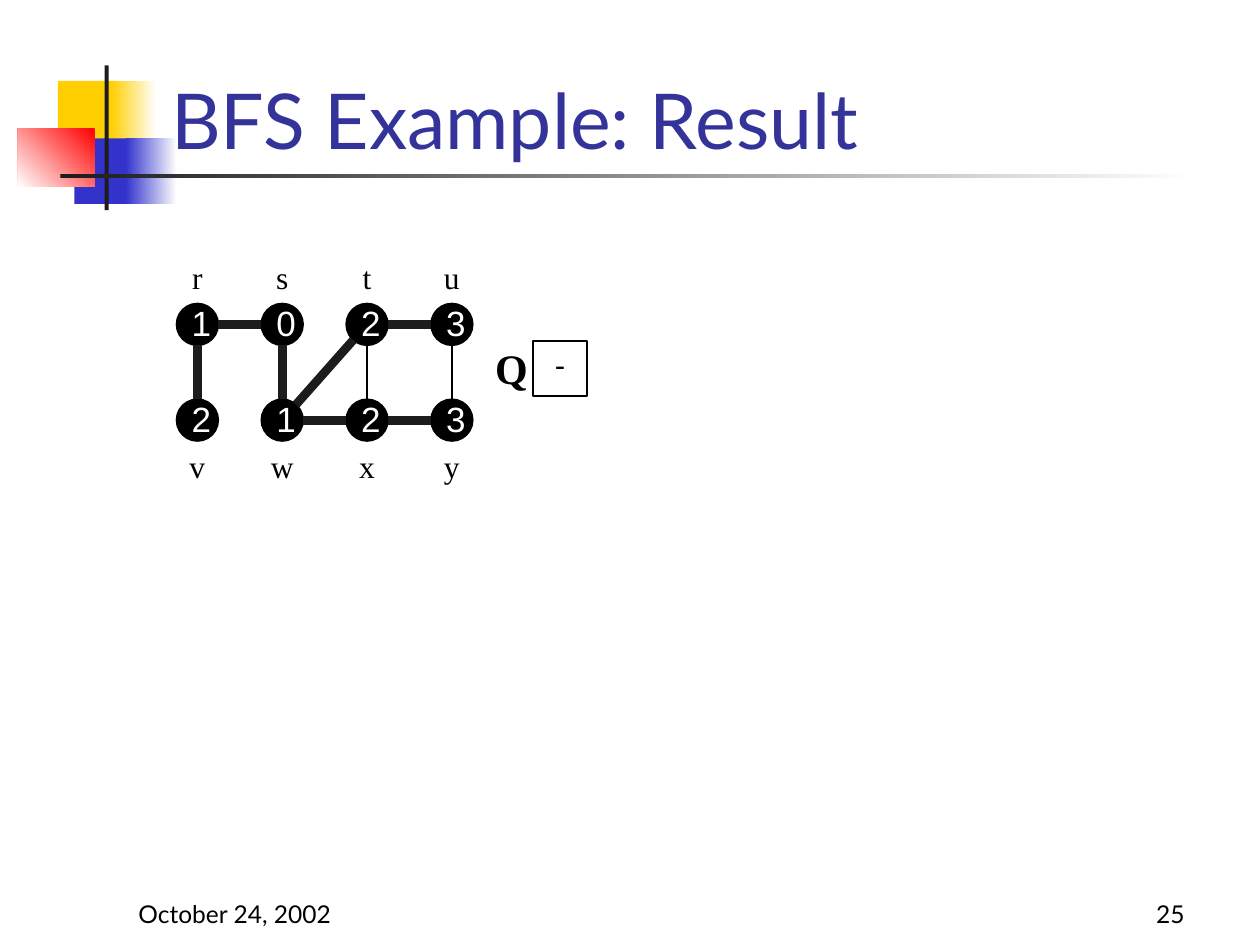
from math import hypot

from lxml.etree import SubElement
from pptx import Presentation
from pptx.dml.color import RGBColor
from pptx.enum.shapes import MSO_CONNECTOR, MSO_SHAPE
from pptx.enum.text import MSO_ANCHOR, PP_ALIGN
from pptx.oxml.ns import qn
from pptx.util import Cm, Pt

COLORS = {
    "white": "FFFFFF", "black": "000000", "dark": "1C1C1C", "title": "333399",
    "yellow": "FFCF01", "blue": "3333CC", "red": "FF0000",
}
C = {name: RGBColor.from_string(value) for name, value in COLORS.items()}

prs = Presentation()
prs.slide_width, prs.slide_height = Cm(25.4), Cm(19.05)
s = prs.slides.add_slide(prs.slide_layouts[6])


def add_shape(kind, x, y, w, h, fill, fade_angle=None, line=None):
    """Add a filled shape; with fade_angle, the fill fades to white that way."""
    sp = s.shapes.add_shape(kind, Cm(x), Cm(y), Cm(w), Cm(h))
    sp.shadow.inherit = False
    if fade_angle is None:
        sp.fill.solid()
        sp.fill.fore_color.rgb = C[fill]
    else:
        sp.fill.gradient()
        sp.fill.gradient_angle = fade_angle
        for stop, color in zip(sp.fill.gradient_stops, (fill, "white")):
            stop.color.rgb = C[color]
    if line:
        sp.line.color.rgb = C[line]
        sp.line.width = Pt(1)
    else:
        sp.line.fill.background()
    return sp


def set_text(sp, text, font, size, color="black", align=PP_ALIGN.CENTER,
             anchor=MSO_ANCHOR.MIDDLE, margins=(0, 0, 0, 0)):
    """Fill a shape with one line of text; margins are left, top, right, bottom."""
    tf = sp.text_frame
    tf.word_wrap = True
    tf.vertical_anchor = anchor
    tf.margin_left, tf.margin_top, tf.margin_right, tf.margin_bottom = map(Cm, margins)
    tf.text = text
    p = tf.paragraphs[0]
    p.alignment = align
    r = p.runs[0]
    r.font.name = font
    r.font.size = Pt(size)
    r.font.color.rgb = C[color]
    return r


# Corner decoration
for x, y, w, h, fill, fade_angle in (
    (1.17, 1.63, 1.22, 1.32, "yellow", None),
    (2.24, 1.63, 0.91, 1.32, "yellow", 0),
    (1.5, 2.79, 1.17, 1.32, "blue", None),
    (2.54, 2.79, 1.02, 1.32, "blue", 0),
    (0.36, 2.59, 1.55, 1.17, "red", 225),
    (2.11, 1.32, 0.08, 2.92, "dark", None),
    (1.22, 3.51, 22.86, 0.08, "dark", 0),
):
    add_shape(MSO_SHAPE.RECTANGLE, x, y, w, h, fill, fade_angle)

# Title and footer
for text, x, y, w, h, size, color, align in (
    ("BFS Example: Result", 3.2, 0.28, 21.64, 3.18, 44, "title", PP_ALIGN.LEFT),
    ("October 24, 2002", 2.54, 17.58, 5.28, 1.27, 14, "black", PP_ALIGN.LEFT),
    ("25", 18.85, 17.58, 5.28, 1.27, 14, "black", PP_ALIGN.RIGHT),
):
    sp = s.shapes.add_textbox(Cm(x), Cm(y), Cm(w), Cm(h))
    set_text(sp, text, "Lato", size, color, align, MSO_ANCHOR.BOTTOM,
             (0.25, 0.13, 0.25, 0.13))

# Graph nodes with BFS distances: row centre, label top, (name, distance)
DIAMETER = 0.84
LEFT, STEP = 3.98, 1.71
ROWS = (
    (6.54, 5.08, (("r", 1), ("s", 0), ("t", 2), ("u", 3))),
    (8.47, 8.89, (("v", 2), ("w", 1), ("x", 2), ("y", 3))),
)
centers = {}
for cy, label_y, nodes in ROWS:
    for col, (name, distance) in enumerate(nodes):
        cx = LEFT + col * STEP
        centers[name] = cx, cy
        x = cx - DIAMETER / 2
        node = add_shape(MSO_SHAPE.OVAL, x, cy - DIAMETER / 2, DIAMETER, DIAMETER,
                         "black", line="black")
        set_text(node, str(distance), "Arial", 20, "white", margins=(0.16, 0, 0, 0.08))
        label = s.shapes.add_textbox(Cm(x), Cm(label_y), Cm(DIAMETER), Cm(1.02))
        set_text(label, name, "Times New Roman", 18)

# Edges run from rim to rim; tree edges are thick
TREE_EDGES = ("vr", "ws", "rs", "wx", "xy", "tu", "tw")
OTHER_EDGES = ("xt", "yu")
for start, end in TREE_EDGES + OTHER_EDGES:
    (x1, y1), (x2, y2) = centers[start], centers[end]
    trim = DIAMETER / 2 / hypot(x2 - x1, y2 - y1)
    dx, dy = (x2 - x1) * trim, (y2 - y1) * trim
    edge = s.shapes.add_connector(MSO_CONNECTOR.STRAIGHT, Cm(x1 + dx), Cm(y1 + dy),
                                  Cm(x2 - dx), Cm(y2 - dy))
    is_tree = start + end in TREE_EDGES
    edge.line.color.rgb = C["dark" if is_tree else "black"]
    edge.line.width = Pt(5 if is_tree else 1)
    SubElement(edge._element.spPr, qn("a:effectLst"))

# Empty queue
queue = add_shape(MSO_SHAPE.RECTANGLE, 10.74, 6.88, 1.1, 1.1, "white", line="black")
set_text(queue, "-", "Lato", 17.5, margins=(0, 0, 0, 0.13))
queue_label = s.shapes.add_textbox(Cm(9.73), Cm(6.78), Cm(1.47), Cm(1.27))
r = set_text(queue_label, "Q", "Times New Roman", 24, align=PP_ALIGN.LEFT,
             anchor=MSO_ANCHOR.TOP, margins=(0.25, 0.13, 0, 0.13))
r.font.bold = True

prs.save("out.pptx")
